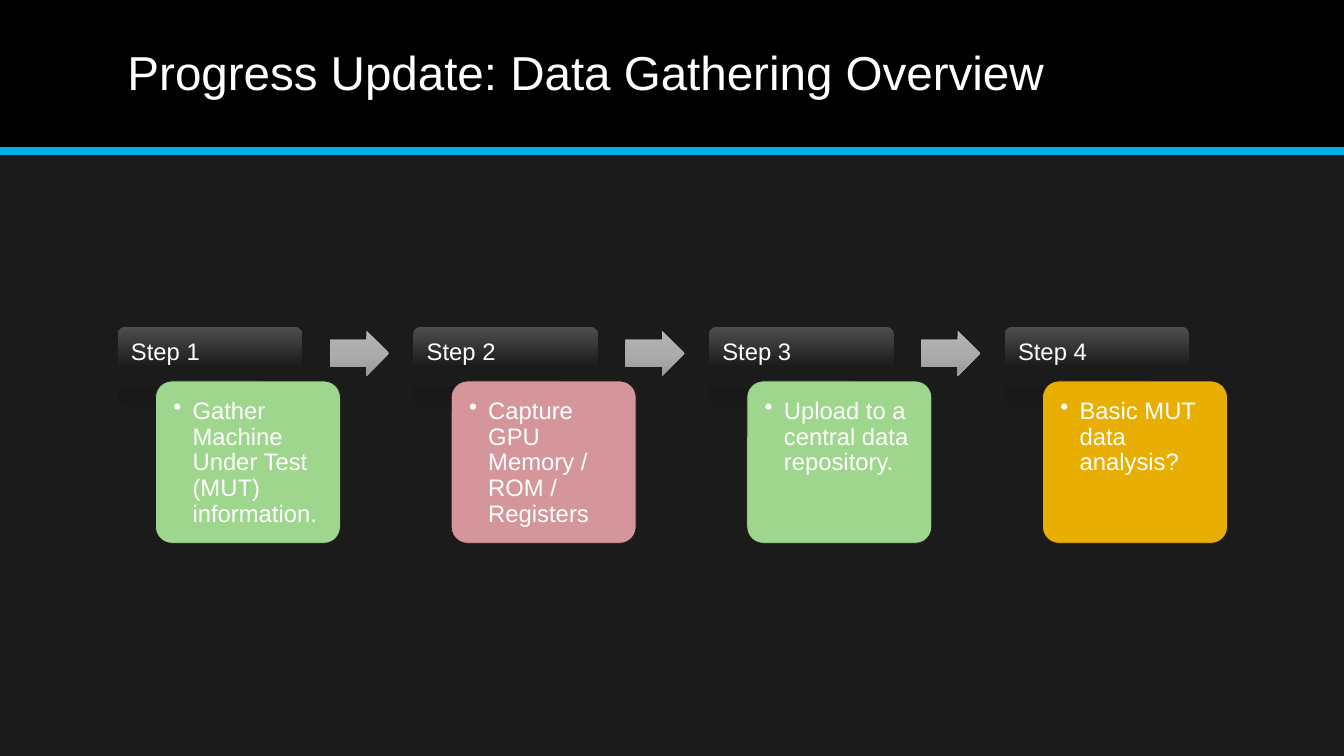
from copy import deepcopy
from dataclasses import dataclass

from lxml.etree import SubElement
from pptx import Presentation
from pptx.dml.color import RGBColor
from pptx.enum.shapes import MSO_CONNECTOR, MSO_SHAPE
from pptx.enum.text import MSO_ANCHOR, PP_ALIGN
from pptx.oxml.ns import qn
from pptx.shapes.autoshape import Shape
from pptx.slide import Slide
from pptx.util import Emu, Inches, Pt


@dataclass(frozen=True)
class Theme:
    font: str = "Arial"
    title_size: int = 34
    body_size: int = 17
    text: str = "FFFFFF"
    background: str = "1B1B1B"
    header: str = "000000"
    accent: str = "00B0EA"
    green: str = "AEEB9A"
    pink: str = "EAA4A9"
    amber: str = "FFC000"
    tab_gradient: tuple[str, ...] = ("4E4E4E", "1B1B1B", "181818")
    arrow_gradient: tuple[str, ...] = ("B5B5B5", "ACACAC", "999999")


@dataclass(frozen=True)
class Area:
    """Place and size in columns and rows of the slide grid."""
    column: float
    row: float
    columns: float
    rows: float

    def shifted(self, columns: float) -> "Area":
        return Area(self.column + columns, self.row, self.columns, self.rows)

    def lengths(self) -> tuple[Emu, Emu, Emu, Emu]:
        return (Emu(round(self.column * CELL)), Emu(round(self.row * CELL)),
                Emu(round(self.columns * CELL)), Emu(round(self.rows * CELL)))


@dataclass(frozen=True)
class Step:
    label: str
    detail: str
    color: str


THEME = Theme()

# Grid of square cells, 400 columns by 225 rows
COLUMNS, ROWS = 400, 225
CELL = Inches(7.5) / ROWS
STEP_PITCH = 88
HEADER = Area(0, 0, COLUMNS, 45)
TITLE = Area(35, 4.2, 330, 36)
TAB = Area(35, 97.2, 55, 24)
CARD = Area(46.3, 113.4, 55, 48.3)
ARROW = Area(98.1, 98.4, 17.7, 13.5)

STEPS = [
    Step("Step 1", "Gather Machine Under Test (MUT) information.", THEME.green),
    Step("Step 2", "Capture GPU Memory / ROM / Registers", THEME.pink),
    Step("Step 3", "Upload to a central data repository.", THEME.green),
    Step("Step 4", "Basic MUT data analysis?", THEME.amber),
]


def rgb(color: str) -> RGBColor:
    return RGBColor.from_string(color)


def add_block(page: Slide, kind: MSO_SHAPE, area: Area, *adjustments: float) -> Shape:
    block = page.shapes.add_shape(kind, *area.lengths())
    block.shadow.inherit = False
    block.line.fill.background()
    for index, value in enumerate(adjustments):
        block.adjustments[index] = value
    return block


def fill_solid(block: Shape, color: str, opacity: int = 100) -> None:
    block.fill.solid()
    block.fill.fore_color.rgb = rgb(color)
    if opacity < 100:
        color_node = block.fill._xPr.find(qn("a:solidFill"))[0]
        SubElement(color_node, qn("a:alpha"), val=str(opacity * 1000))


def fill_gradient(block: Shape, colors: tuple[str, ...]) -> None:
    """Fill from top to bottom with evenly spaced colours."""
    block.fill.gradient()
    block.fill.gradient_angle = 270
    stop_list = block.fill._xPr.find(qn("a:gradFill")).find(qn("a:gsLst"))
    while len(stop_list) < len(colors):
        stop_list.append(deepcopy(stop_list[0]))
    for index, (stop, color) in enumerate(zip(block.fill.gradient_stops, colors)):
        stop.position = index / (len(colors) - 1)
        stop.color.rgb = rgb(color)


def write(box: Shape, text: str, size: int, anchor: MSO_ANCHOR,
          side: float, top: float, bottom: float, bullet: bool = False) -> None:
    frame = box.text_frame
    frame.text = text
    frame.word_wrap = True
    frame.vertical_anchor = anchor
    frame.margin_left = frame.margin_right = Inches(side)
    frame.margin_top, frame.margin_bottom = Inches(top), Inches(bottom)
    para = frame.paragraphs[0]
    para.alignment = PP_ALIGN.LEFT
    para.line_spacing = 0.9
    font = para.runs[0].font
    font.name, font.size, font.color.rgb = THEME.font, Pt(size), rgb(THEME.text)
    if bullet:
        properties = para._p.get_or_add_pPr()
        properties.set("marL", str(Inches(0.19)))
        properties.set("indent", str(-Inches(0.19)))
        SubElement(properties, qn("a:buChar"), char="•")


def add_header(page: Slide, title: str) -> None:
    fill_solid(add_block(page, MSO_SHAPE.RECTANGLE, HEADER), THEME.header)
    left, top, width, height = HEADER.lengths()
    rule = page.shapes.add_connector(
        MSO_CONNECTOR.STRAIGHT, left, top + height, left + width, top + height)
    rule.line.color.rgb = rgb(THEME.accent)
    rule.line.width = Pt(6)
    SubElement(rule._element.spPr, qn("a:effectLst"))
    box = page.shapes.add_textbox(*TITLE.lengths())
    write(box, title, THEME.title_size, MSO_ANCHOR.MIDDLE, 0.1, 0.05, 0.05)


def add_step(page: Slide, step: Step, offset: float) -> None:
    tab = add_block(page, MSO_SHAPE.ROUNDED_RECTANGLE, TAB.shifted(offset), 0.1)
    fill_gradient(tab, THEME.tab_gradient)
    write(tab, step.label, THEME.body_size, MSO_ANCHOR.TOP, 0.11, 0.11, 0.07)

    card = add_block(page, MSO_SHAPE.ROUNDED_RECTANGLE, CARD.shifted(offset), 0.1)
    fill_solid(card, step.color, opacity=90)
    card.line.color.rgb = rgb(THEME.background)
    card.line.width = Pt(0.5)
    write(card, step.detail, THEME.body_size, MSO_ANCHOR.TOP, 0.13, 0.13, 0.13, bullet=True)


def main() -> None:
    deck = Presentation()
    deck.slide_width = Emu(round(COLUMNS * CELL))
    deck.slide_height = Emu(round(ROWS * CELL))
    page = deck.slides.add_slide(deck.slide_layouts[6])
    page.background.fill.solid()
    page.background.fill.fore_color.rgb = rgb(THEME.background)

    add_header(page, "Progress Update: Data Gathering Overview")

    # Steps, with an arrow between neighbours
    for index, step in enumerate(STEPS):
        offset = index * STEP_PITCH
        add_step(page, step, offset)
        if index < len(STEPS) - 1:
            arrow = add_block(page, MSO_SHAPE.RIGHT_ARROW, ARROW.shifted(offset), 0.6, 0.5)
            fill_gradient(arrow, THEME.arrow_gradient)

    deck.save("out.pptx")


if __name__ == "__main__":
    main()
